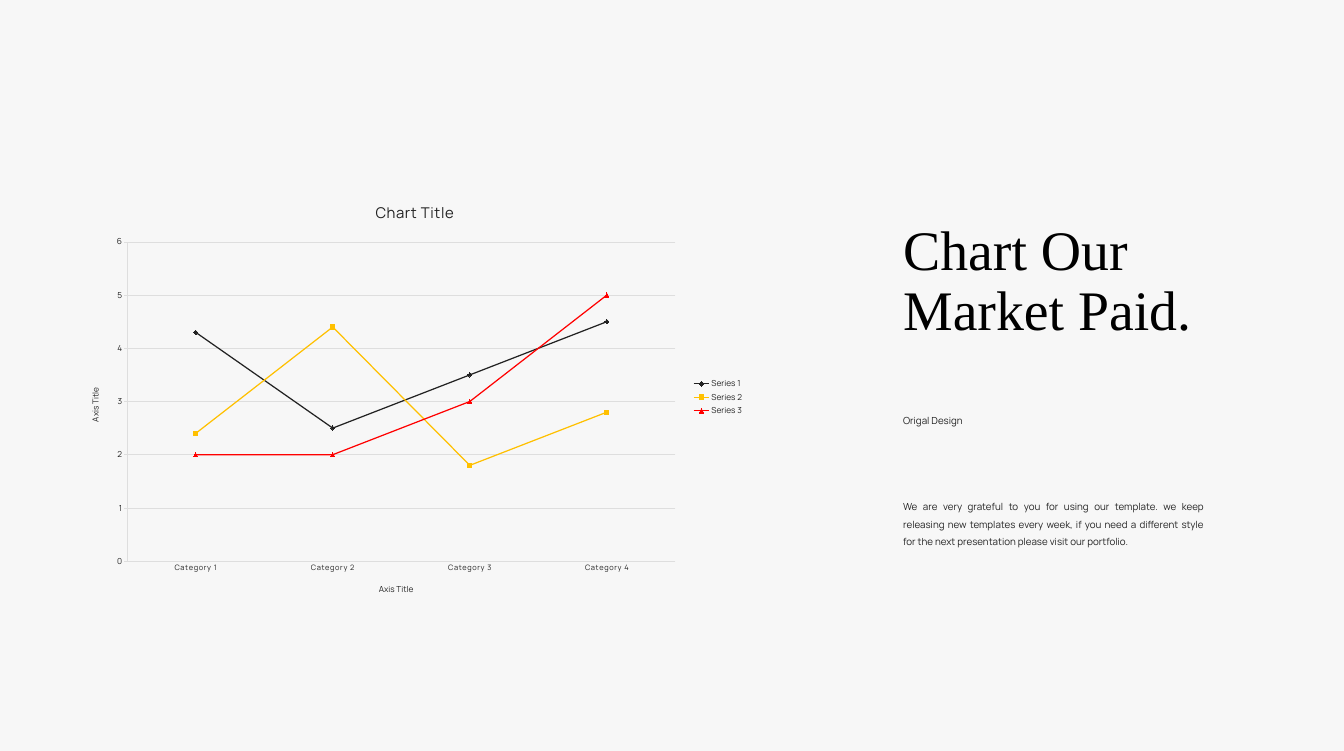
from lxml.etree import SubElement
from pptx import Presentation
from pptx.chart.data import CategoryChartData
from pptx.dml.color import RGBColor
from pptx.enum.chart import XL_CHART_TYPE, XL_LEGEND_POSITION, XL_MARKER_STYLE, XL_TICK_MARK
from pptx.enum.text import MSO_ANCHOR, MSO_AUTO_SIZE, PP_ALIGN
from pptx.oxml.ns import qn
from pptx.util import Inches, Pt

COLOURS = {
    "background": "F7F7F7",
    "title": "000000",
    "ink": "222222",
    "grid": "DEDEDE",
    "yellow": "FFC000",
    "red": "FF0000",
}
CATEGORIES = ["Category 1", "Category 2", "Category 3", "Category 4"]
SERIES = [
    ("Series 1", (4.3, 2.5, 3.5, 4.5), "ink", XL_MARKER_STYLE.DIAMOND),
    ("Series 2", (2.4, 4.4, 1.8, 2.8), "yellow", XL_MARKER_STYLE.SQUARE),
    ("Series 3", (2, 2, 3, 5), "red", XL_MARKER_STYLE.TRIANGLE),
]
PLOT_AREA = {"x": 0.07, "y": 0.13, "w": 0.82, "h": 0.76}


def colour(name):
    return RGBColor.from_string(COLOURS[name])


class MarketSlide:
    heading_font = "Times New Roman"
    text_font = "Manrope"
    label_size = 11.9

    def __init__(self, presentation):
        self.slide = presentation.slides.add_slide(presentation.slide_layouts[5])
        fill = self.slide.background.fill
        fill.solid()
        fill.fore_color.rgb = colour("background")

    def style(self, font, size, family=None, ink="ink"):
        font.name = family or self.text_font
        font.size = Pt(size)
        font.bold = False
        font.color.rgb = colour(ink)

    def heading(self, text, left, top, width, height):
        title = self.slide.shapes.title
        title.left, title.top = Inches(left), Inches(top)
        title.width, title.height = Inches(width), Inches(height)
        frame = title.text_frame
        frame.text = text
        frame.word_wrap = True
        frame.auto_size = MSO_AUTO_SIZE.NONE
        frame.vertical_anchor = MSO_ANCHOR.TOP
        paragraph = frame.paragraphs[0]
        paragraph.alignment = PP_ALIGN.LEFT
        paragraph.line_spacing = 0.9
        paragraph.space_before = Pt(0)
        self.style(paragraph.font, 80, self.heading_font, "title")

    def text(self, text, left, top, width, height, align=PP_ALIGN.LEFT, spacing=1.0, wrap=True):
        box = self.slide.shapes.add_textbox(Inches(left), Inches(top), Inches(width), Inches(height))
        frame = box.text_frame
        frame.text = text
        frame.word_wrap = wrap
        frame.auto_size = MSO_AUTO_SIZE.SHAPE_TO_FIT_TEXT
        paragraph = frame.paragraphs[0]
        paragraph.alignment = align
        paragraph.line_spacing = spacing
        self.style(paragraph.font, 14)

    def caption(self, owner, text, size):
        """Title of the chart or of one of its axes."""
        frame = owner.text_frame
        frame.text = text
        self.style(frame.paragraphs[0].font, size)

    def grid_line(self, line):
        line.color.rgb = colour("grid")
        line.width = Pt(0.75)

    def axis(self, axis, size, tick):
        axis.has_title = True
        self.caption(axis.axis_title, "Axis Title", self.label_size)
        axis.major_tick_mark = tick
        axis.minor_tick_mark = XL_TICK_MARK.NONE
        self.style(axis.tick_labels.font, size)
        self.grid_line(axis.format.line)

    def line_chart(self, left, top, width, height):
        data = CategoryChartData()
        data.categories = CATEGORIES
        for name, values, _, _ in SERIES:
            data.add_series(name, values)
        chart = self.slide.shapes.add_chart(
            XL_CHART_TYPE.LINE_MARKERS,
            Inches(left), Inches(top), Inches(width), Inches(height), data,
        ).chart
        self.style(chart.font, 10)
        chart.has_title = True
        self.caption(chart.chart_title, "Chart Title", 21.3)

        # Axes and grid
        self.axis(chart.category_axis, 10.7, XL_TICK_MARK.NONE)
        values_axis = chart.value_axis
        self.axis(values_axis, self.label_size, XL_TICK_MARK.OUTSIDE)
        values_axis.minimum_scale, values_axis.maximum_scale = 0, 6
        values_axis.major_unit = 1
        values_axis.has_major_gridlines = True
        self.grid_line(values_axis.major_gridlines.format.line)

        # Legend
        chart.has_legend = True
        chart.legend.position = XL_LEGEND_POSITION.RIGHT
        chart.legend.include_in_layout = False
        self.style(chart.legend.font, self.label_size)

        # Series
        plot = chart.plots[0]
        plot.vary_by_categories = False
        for series, (_, _, ink, symbol) in zip(plot.series, SERIES):
            series.smooth = False
            series.format.line.color.rgb = colour(ink)
            series.format.line.width = Pt(1.75)
            marker = series.marker
            marker.style, marker.size = symbol, 6
            marker.format.fill.solid()
            marker.format.fill.fore_color.rgb = colour(ink)
            marker.format.line.color.rgb = colour(ink)

        self.letter_spacing(chart)
        self.plot_layout(chart)

    def letter_spacing(self, chart):
        for part in ("c:chart/c:title", "c:chart/c:plotArea/c:catAx/c:txPr"):
            for properties in chart.element.xpath(f"{part}//a:defRPr"):
                properties.set("spc", "100")

    def plot_layout(self, chart):
        plot_area = chart.element.xpath("c:chart/c:plotArea")[0]
        for layout in plot_area.findall(qn("c:layout")):
            plot_area.remove(layout)
        layout = SubElement(plot_area, qn("c:layout"))
        plot_area.insert(0, layout)
        manual = SubElement(layout, qn("c:manualLayout"))
        settings = {"layoutTarget": "inner", "xMode": "edge", "yMode": "edge", **PLOT_AREA}
        for tag, value in settings.items():
            SubElement(manual, qn(f"c:{tag}")).set("val", str(value))


def main():
    presentation = Presentation()
    presentation.slide_width = Inches(26.77)
    presentation.slide_height = Inches(14.96)
    market = MarketSlide(presentation)

    # Chart on the left
    market.line_chart(1.6, 3.73, 13.32, 8.37)

    # Text column on the right
    column = 17.89
    market.heading("Chart Our Market Paid.", column, 4.38, 7.96, 2.95)
    market.text(
        "We are very grateful to you for using our template. we keep releasing new templates "
        "every week, if you need a different style for the next presentation please visit our "
        "portfolio.",
        column, 9.81, 6.19, 1.13, PP_ALIGN.JUSTIFY, 1.5,
    )
    market.text("Origal Design", column, 8.22, 1.51, 0.34, wrap=False)

    presentation.save("out.pptx")


if __name__ == "__main__":
    main()
